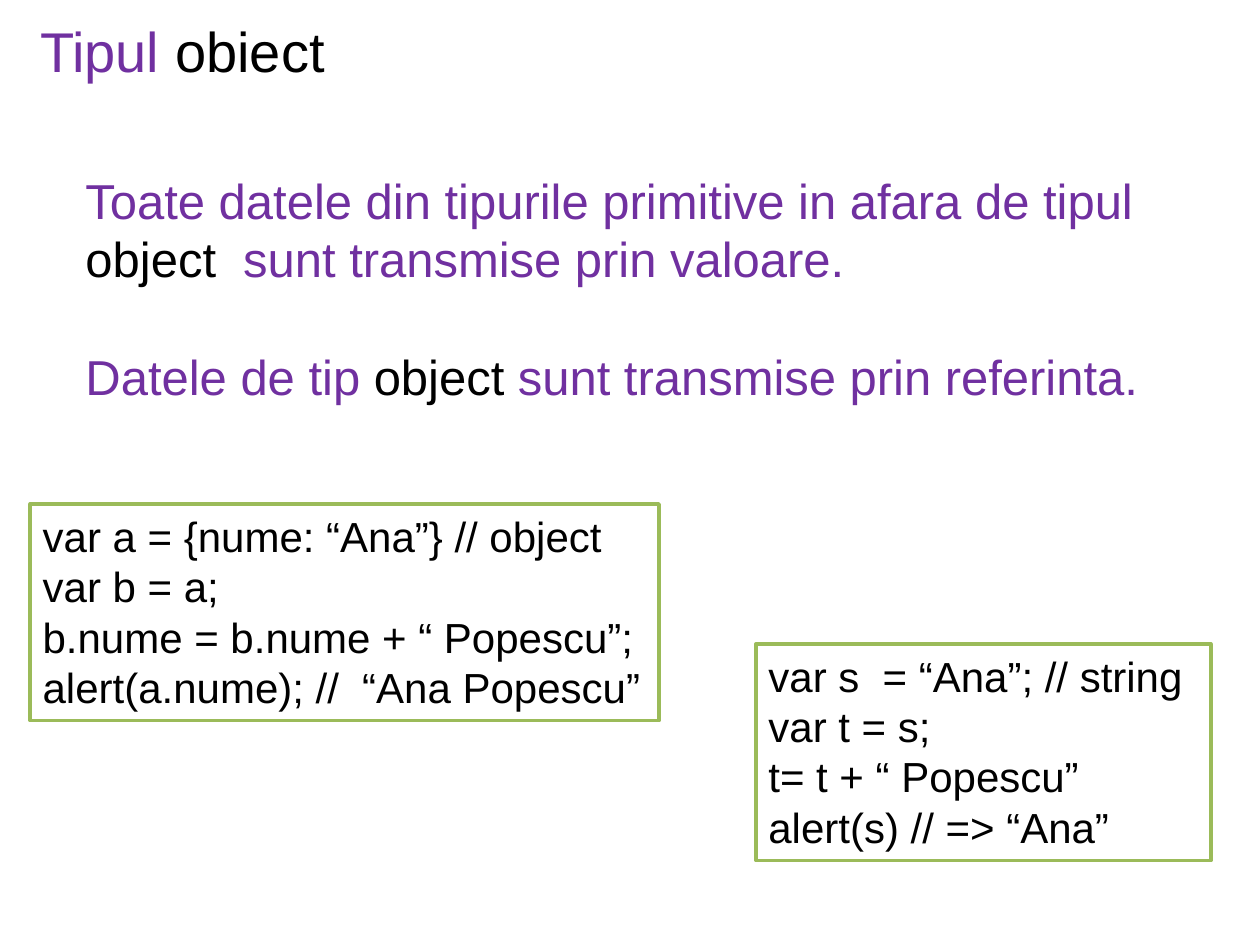
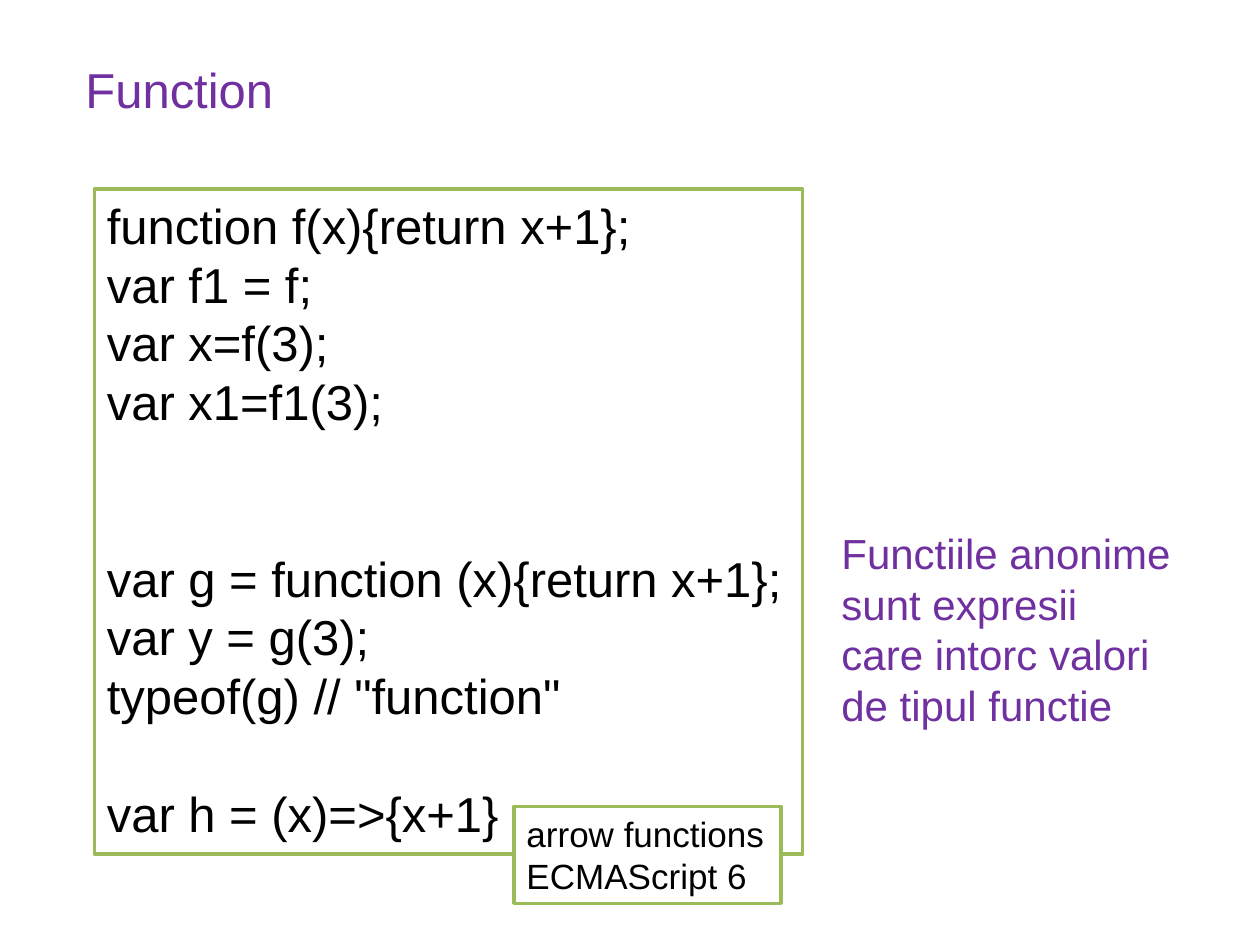
"""Build two slides on the object and function types."""
from dataclasses import dataclass

from pptx import Presentation
from pptx.dml.color import RGBColor
from pptx.enum.shapes import MSO_SHAPE
from pptx.enum.text import MSO_ANCHOR, MSO_AUTO_SIZE, PP_ALIGN
from pptx.slide import Slide
from pptx.text.text import TextFrame
from pptx.util import Inches, Pt

RECT = MSO_SHAPE.RECTANGLE
TOP = MSO_ANCHOR.TOP
GROW = MSO_AUTO_SIZE.SHAPE_TO_FIT_TEXT
LEFT = PP_ALIGN.LEFT

PURPLE = RGBColor(0x70, 0x30, 0xA0)
BLACK = RGBColor(0, 0, 0)
WHITE = RGBColor(0xFF, 0xFF, 0xFF)
GREEN = RGBColor(0x9B, 0xBB, 0x59)
FONT = "Arial"
LEAD = 1.2


@dataclass(frozen=True)
class Line:
    """A line of words in turning colours, with a gap counted in lines."""

    words: tuple[str, ...]
    gap: int = 0


@dataclass(frozen=True)
class Block:
    """Text at a place, either plain purple or black code in a frame."""

    left: float
    top: float
    width: float
    height: float
    size: int
    lines: tuple[Line, ...]
    framed: bool = False
    wrap: bool = False


def plain(*texts: str) -> tuple[Line, ...]:
    """Turn each text into a line of one colour."""
    return tuple(Line((text,)) for text in texts)


OBJECT = (
    Block(6, 5.11, 3.61, 1.72, 24, plain(
        "var s  = “Ana”; // string",
        "var t = s;",
        "t= t + “ Popescu”",
        "alert(s) // => “Ana”",
    ), framed=True),
    Block(0.24, 4, 4.99, 1.72, 24, plain(
        "var a = {nume: “Ana”} // object",
        "var b = a;",
        "b.nume = b.nume + “ Popescu”;",
        "alert(a.nume); //  “Ana Popescu”",
    ), framed=True),
    Block(0.58, 1.3, 8.58, 1.99, 28, (
        Line(("Toate datele din tipurile primitive in afara de tipul ",
              "object  ", "sunt transmise prin valoare.")),
        Line(("Datele de tip ", "object ",
              "sunt transmise prin referinta."), gap=1),
    ), wrap=True),
    Block(0.22, 0.08, 2.48, 0.64, 32, (Line(("Tipul ", "obiect")),)),
)

FUNCTION = (
    Block(0.75, 1.5, 5.62, 5.28, 28, (
        *plain("function f(x){return x+1};", "var f1 = f;",
               "var x=f(3);", "var x1=f1(3);"),
        Line(("var g = function (x){return x+1};",), gap=2),
        *plain("var y = g(3);", 'typeof(g) // "function"'),
        Line(("var h = (x)=>{x+1}",), gap=1),
    ), framed=True),
    Block(0.58, 0.42, 1.71, 0.57, 28, plain("Function")),
    Block(6.58, 4.14, 2.94, 1.72, 24, plain(
        "Functiile anonime", "sunt expresii",
        "care intorc valori", "de tipul functie",
    )),
    Block(4.08, 6.4, 2.12, 0.77, 20, plain(
        "arrow functions", "ECMAScript 6",
    ), framed=True, wrap=True),
)


def write(frame: TextFrame, block: Block) -> None:
    """Fill a text frame with the lines of a block."""
    frame.word_wrap = block.wrap
    frame.auto_size = GROW
    frame.vertical_anchor = TOP
    tones = (BLACK, PURPLE) if block.framed else (PURPLE, BLACK)
    frame.text = "\n".join("" for _ in block.lines)
    for para, line in zip(frame.paragraphs, block.lines):
        para.alignment = LEFT
        para.space_before = Pt(line.gap * block.size * LEAD)
        for turn, text in enumerate(line.words):
            run = para.add_run()
            run.text = text
            run.font.name = FONT
            run.font.size = Pt(block.size)
            run.font.color.rgb = tones[turn % 2]


def draw(slide: Slide, block: Block) -> None:
    """Place a block on a slide."""
    place = [Inches(n) for n in
             (block.left, block.top, block.width, block.height)]
    if block.framed:
        shape = slide.shapes.add_shape(RECT, *place)
        shape.shadow.inherit = False
        shape.fill.solid()
        shape.fill.fore_color.rgb = WHITE
        shape.line.color.rgb = GREEN
        shape.line.width = Pt(2)
    else:
        shape = slide.shapes.add_textbox(*place)
    write(shape.text_frame, block)


def main() -> None:
    """Build and save the deck."""
    deck = Presentation()
    deck.slide_width, deck.slide_height = Inches(10), Inches(7.5)
    for blocks in (OBJECT, FUNCTION):
        slide = deck.slides.add_slide(deck.slide_layouts[6])
        for block in blocks:
            draw(slide, block)
    deck.save("out.pptx")


if __name__ == "__main__":
    main()
